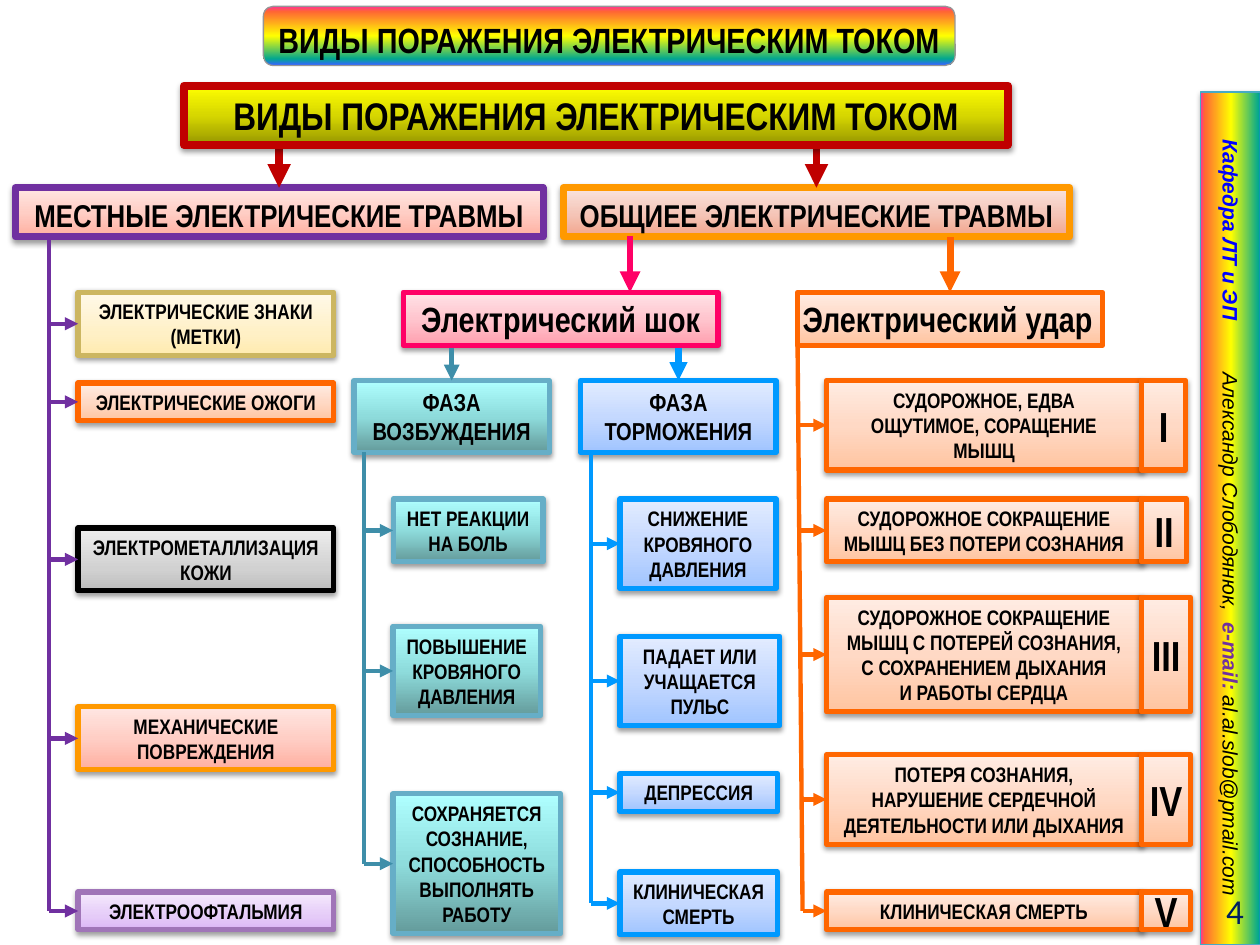
from dataclasses import dataclass, field

from lxml.etree import SubElement
from pptx import Presentation
from pptx.dml.color import RGBColor as Rgb
from pptx.enum.shapes import MSO_CONNECTOR as Connector, MSO_SHAPE as Shape
from pptx.enum.text import MSO_ANCHOR as Anchor, PP_ALIGN as Align
from pptx.oxml.ns import qn
from pptx.util import Inches, Pt

TOP, LEFT = 0, 1  # connection sites of a rectangle


def grid(cells):
    """Length in cells of the 100 x 75 slide grid."""
    return Inches(cells / 10)


def ramp(*colours, middle=50):
    return list(zip((0, middle, 100), colours))


@dataclass
class Theme:
    narrow: str = "Arial Narrow"
    black: str = "000000"
    heading: int = 22
    branch: int = 18
    group: int = 20
    phase: int = 14
    label: int = 12
    numeral: int = 24
    # style name: (line colour, gradient stops)
    styles: dict = field(default_factory=lambda: {
        "heading": ("C00000", ramp("979700", "D7D700", "FFFF00")),
        "local": ("7030A0", ramp("FFAFA0", "FFCEC5", "FFE7E3")),
        "general": ("FF9900", ramp("F2A58C", "F5C7BA", "F9E4DE")),
        "shock": ("FF0066", ramp("FFA0AF", "FFC5CE", "FFE3E7")),
        "strike": ("FF6600", ramp("FFC4A0", "FFD9C5", "FFECE3")),
        "excited": ("66AEC7", ramp("649B9B", "8EDCDC", "AFFFFF")),
        "inhibited": ("0099FF", ramp("A0C4FF", "C5D9FF", "E3ECFF")),
        "marks": ("CCB661", ramp("FFEBAF", "FFF0C6", "FFF9E9", middle=35)),
        "metal": ("000000", ramp("BDBDBD", "D1D1D1", "EEEEEE", middle=35)),
        "damage": ("FF9900", ramp("FFAFA0", "FFCEC5", "FFE7E3")),
        "eyes": ("A075B8", ramp("DBB5F6", "E5CBF8", "F5EAFD", middle=35)),
        "title": ("969696", [(0, "FF3399"), (9, "FF6633"), (50, "FFFF00"),
                             (89, "01A78F"), (99, "3366FF")]),
        "sidebar": ("46AAC5", [(0, "FF3399"), (6, "FF6633"), (50, "FFFF00"),
                               (96, "01A78F"), (100, "3366FF")]),
    })
    teal: str = "3E8EA9"
    blue: str = "0000FF"
    violet: str = "7030A0"
    navy: str = "002060"


THEME = Theme()


def add_span(para, text, size, colour=THEME.black, font=THEME.narrow, bold=True, italic=False):
    span = para.add_run()
    span.text = text
    span.font.name, span.font.size = font, Pt(size)
    span.font.bold, span.font.italic = bold, italic
    span.font.color.rgb = Rgb.from_string(colour)


def set_frame(shape, inset=0.0):
    frame = shape.text_frame
    frame.word_wrap = True
    frame.vertical_anchor = Anchor.MIDDLE
    frame.margin_left = frame.margin_right = Inches(inset)
    frame.margin_top = frame.margin_bottom = Inches(0.04)
    return frame


def add_panel(page, box, style, weight=3, kind=Shape.RECTANGLE, angle=90, shadow=True):
    """Gradient shape with an outline and a soft shadow below it."""
    panel = page.shapes.add_shape(kind, *map(grid, box))
    line, stops = THEME.styles[style]
    panel.fill.gradient()
    panel.fill.gradient_angle = angle
    stop_list = panel._element.spPr.find(qn("a:gradFill")).find(qn("a:gsLst"))
    for old in list(stop_list):
        stop_list.remove(old)
    for position, colour in stops:
        stop = SubElement(stop_list, qn("a:gs"), pos=str(position * 1000))
        SubElement(stop, qn("a:srgbClr"), val=colour)
    panel.line.color.rgb = Rgb.from_string(line)
    panel.line.width = Pt(weight)
    panel.shadow.inherit = False
    if shadow:
        effects = panel._element.spPr.find(qn("a:effectLst"))
        outer = SubElement(effects, qn("a:outerShdw"), blurRad=str(Pt(3.1)),
                           dist=str(Pt(1.6)), dir="5400000", rotWithShape="0")
        tint = SubElement(outer, qn("a:srgbClr"), val=THEME.black)
        SubElement(tint, qn("a:alpha"), val="38000")
    return panel


def add_label(page, box, style, lines, size=THEME.label, spacing=None,
              align=Align.CENTER, inset=0.0, **look):
    """Panel with one paragraph for each line of text."""
    panel = add_panel(page, box, style, **look)
    frame = set_frame(panel, inset)
    for index, text in enumerate(lines.split("\n")):
        para = frame.add_paragraph() if index else frame.paragraphs[0]
        para.alignment = align
        if spacing:
            para.line_spacing = Pt(spacing)
        add_span(para, text, size)
    return panel


def add_line(page, start, end, colour, weight=2.5, arrow=False):
    line = page.shapes.add_connector(Connector.STRAIGHT, *map(grid, start + end))
    line.line.color.rgb = Rgb.from_string(colour)
    line.line.width = Pt(weight)
    properties = line._element.spPr
    if arrow:
        SubElement(properties.find(qn("a:ln")), qn("a:tailEnd"), type="triangle")
    SubElement(properties, qn("a:effectLst"))
    return line


def add_drop(page, top, target, box, colour, weight):
    """Arrow down to the middle of a box's top side."""
    middle = box[0] + box[2] / 2
    add_line(page, (middle, top), (middle, box[1]), colour, weight, True).end_connect(target, TOP)


def add_branch(page, trunk, left, entries, colour):
    """Trunk line with an arrow to each (top, width, height, style, text) entry."""
    x_start, x_end, top = trunk
    bottom = entries[-1][0] + entries[-1][2] / 2
    add_line(page, (x_start, top), (x_end, bottom), colour)
    for row, width, height, style, text in entries:
        middle = row + height / 2
        x = x_start + (x_end - x_start) * (middle - top) / (bottom - top)
        panel = add_label(page, (left, row, width, height), style, text)
        add_line(page, (x, middle), (left, middle), colour, arrow=True).end_connect(panel, LEFT)


def add_local_injuries(page, box):
    header = add_label(page, box, "local", "МЕСТНЫЕ ЭЛЕКТРИЧЕСКИЕ ТРАВМЫ",
                       THEME.branch, 24, weight=4)
    add_drop(page, 10.9, header, box, THEME.styles["heading"][0], 4.5)
    x = box[0] + 2.7
    add_branch(page, (x, x, box[1] + box[3]), box[0] + 5, [
        (23.2, 20.3, 5, "marks", "ЭЛЕКТРИЧЕСКИЕ ЗНАКИ\n(МЕТКИ)"),
        (30.4, 20.3, 3, "strike", "ЭЛЕКТРИЧЕСКИЕ ОЖОГИ"),
        (41.9, 20.3, 5, "metal", "ЭЛЕКТРОМЕТАЛЛИЗАЦИЯ\nКОЖИ"),
        (56.1, 20.3, 5, "damage", "МЕХАНИЧЕСКИЕ\nПОВРЕЖДЕНИЯ"),
        (70.8, 20.3, 3, "eyes", "ЭЛЕКТРООФТАЛЬМИЯ"),
    ], THEME.violet)


def add_phase(page, box, style, text, colour, weight, entries):
    header = add_label(page, box, style, text, THEME.phase)
    add_drop(page, 27.6, header, box, colour, weight)
    x = box[0] + 0.8
    add_branch(page, (x, x, box[1] + box[3]), box[0] + 3.1,
               [(top, width, height, style, words) for top, width, height, words in entries],
               colour)


def add_shock(page, box):
    add_line(page, (50, 18.7), (50, box[1]), THEME.styles["shock"][0], 4, True)
    add_label(page, box, "shock", "Электрический шок", THEME.group, 24)
    add_phase(page, (28.1, 30.2, 15.5, 5.7), "excited", "ФАЗА\nВОЗБУЖДЕНИЯ", THEME.teal, 3, [
        (39.6, 11.9, 5, "НЕТ РЕАКЦИИ\nНА БОЛЬ"),
        (49.7, 11.7, 7.1, "ПОВЫШЕНИЕ\nКРОВЯНОГО\nДАВЛЕНИЯ"),
        (63, 13.3, 11.1, "СОХРАНЯЕТСЯ\nСОЗНАНИЕ,\nСПОСОБНОСТЬ\nВЫПОЛНЯТЬ\nРАБОТУ"),
    ])
    add_phase(page, (46.1, 30.2, 15.5, 5.7), "inhibited", "ФАЗА\nТОРМОЖЕНИЯ",
              THEME.styles["inhibited"][0], 3.5, [
        (39.6, 12.4, 7.1, "СНИЖЕНИЕ\nКРОВЯНОГО\nДАВЛЕНИЯ"),
        (50.5, 12.7, 7.1, "ПАДАЕТ ИЛИ\nУЧАЩАЕТСЯ\nПУЛЬС"),
        (61.4, 12.5, 3, "ДЕПРЕССИЯ"),
        (69.2, 12.5, 5, "КЛИНИЧЕСКАЯ\nСМЕРТЬ"),
    ])


def add_strike(page, box):
    colour = THEME.styles["strike"][0]
    header = add_label(page, box, "strike", "Электрический удар", THEME.group,
                       align=Align.LEFT, inset=0.04, shadow=False)
    add_drop(page, 18.8, header, box, colour, 4)
    degrees = [
        (30.2, 7.1, 3.5, "I", "СУДОРОЖНОЕ, ЕДВА\nОЩУТИМОЕ, СОРАЩЕНИЕ\nМЫШЦ"),
        (39.6, 5, 3.6, "II", "СУДОРОЖНОЕ СОКРАЩЕНИЕ\nМЫШЦ БЕЗ ПОТЕРИ СОЗНАНИЯ"),
        (47.4, 9.1, 3.9, "III", "СУДОРОЖНОЕ СОКРАЩЕНИЕ\nМЫШЦ С ПОТЕРЕЙ СОЗНАНИЯ,\n"
                                "С СОХРАНЕНИЕМ ДЫХАНИЯ\nИ РАБОТЫ СЕРДЦА"),
        (59.9, 7.1, 3.9, "IV", "ПОТЕРЯ СОЗНАНИЯ,\nНАРУШЕНИЕ СЕРДЕЧНОЙ\n"
                               "ДЕЯТЕЛЬНОСТИ ИЛИ ДЫХАНИЯ"),
        (70.8, 3, 3.9, "V", "КЛИНИЧЕСКАЯ СМЕРТЬ"),
    ]
    add_branch(page, (box[0], box[0] + 0.4, box[1] + box[3]), box[0] + 2.3,
               [(top, 25, height, "strike", text) for top, height, _, _, text in degrees], colour)
    for top, height, width, numeral, _ in degrees:
        add_label(page, (box[0] + 27.3, top, width, height), "strike", numeral, THEME.numeral)


def add_general_injuries(page, box):
    header = add_label(page, box, "general", "ОБЩИЕЕ ЭЛЕКТРИЧЕСКИЕ ТРАВМЫ",
                       THEME.branch, 24, weight=4)
    add_drop(page, 10.7, header, box, THEME.styles["heading"][0], 4.5)


def add_sidebar(page, box):
    """Rotated strip with the author's details, and the page number on its end."""
    left, top, width, height = box
    strip = add_panel(page, (left + (width - height) / 2, top + (height - width) / 2,
                             height, width), "sidebar", weight=0.75)
    strip.rotation = 90
    frame = set_frame(strip)
    frame.margin_left = grid(3.8)
    para = frame.paragraphs[0]
    para.alignment = Align.LEFT
    tabs = SubElement(para._p.get_or_add_pPr(), qn("a:tabLst"))
    for stop in (18.5, 38.3):
        SubElement(tabs, qn("a:tab"), pos=str(grid(stop)), algn="l")
    for text, colour, bold in (("Кафедра ЛТ и ЭП\t", THEME.blue, True),
                               ("Александр Слободянюк,\t", THEME.black, False),
                               ("e-mail: ", THEME.violet, True),
                               ("al.al.slob@pmail.com", THEME.black, False)):
        add_span(para, text, THEME.label, colour, "Arial", bold, True)

    number = page.shapes.add_textbox(*map(grid, (left - 1.4, 70.3, 5.8, 4)))
    para = set_frame(number, 0.1).paragraphs[0]
    para.alignment = Align.RIGHT
    add_span(para, "4", THEME.group, THEME.navy, "Calibri", False)


def main():
    deck = Presentation()
    deck.slide_width, deck.slide_height = grid(100), grid(75)
    page = deck.slides.add_slide(deck.slide_layouts[6])
    heading = "ВИДЫ ПОРАЖЕНИЯ ЭЛЕКТРИЧЕСКИМ ТОКОМ"
    add_local_injuries(page, (1.2, 14.9, 41.9, 3.9))
    add_general_injuries(page, (44.7, 14.9, 40.2, 3.9))
    add_shock(page, (32, 23.2, 25, 4.2))
    add_strike(page, (63.3, 23.2, 24.2, 4.2))
    add_label(page, (14.6, 6.8, 65.4, 4.7), "heading", heading, THEME.heading, weight=4.5)
    add_sidebar(page, (95.3, 7.3, 4.8, 67.7))
    add_label(page, (20.9, 0.5, 54.9, 4.7), "title", heading, THEME.group, 28, weight=0.75,
              kind=Shape.ROUNDED_RECTANGLE, angle=270, shadow=False)
    deck.save("out.pptx")


if __name__ == "__main__":
    main()
